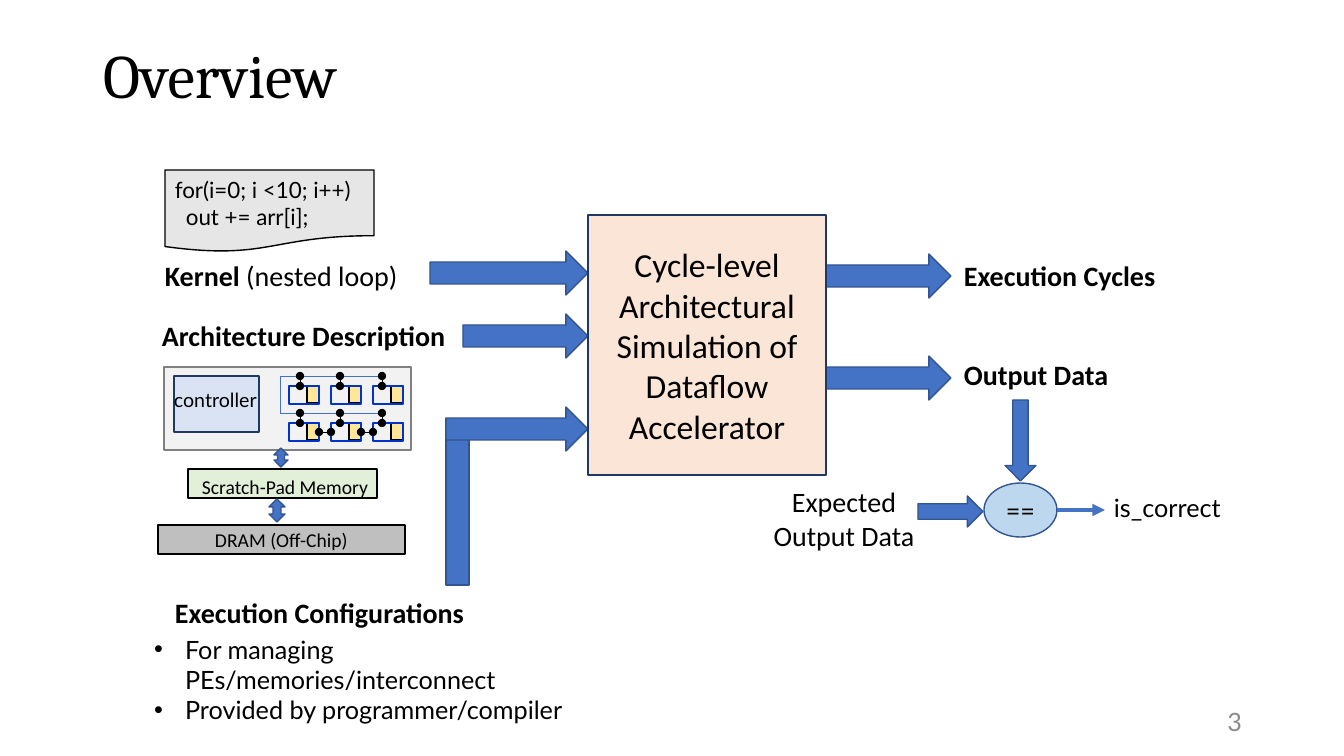
from lxml import etree
from pptx import Presentation
from pptx import util as u
from pptx.dml.color import RGBColor
from pptx.enum import shapes, text
from pptx.oxml import ns

PIXEL = 914400 / 100.8
COLORS = {
    "ink": "000000", "number": "8C8C8C", "arrow": "4472C4", "arrow_edge": "325491",
    "code": "E7E6E6", "chip": "F2F2F2", "chip_edge": "808080", "scratch": "E2F0D9",
    "dram": "BFBFBF", "cell_edge": "0033CC", "register": "FFE699",
    "controller": "DAE3F3", "navy": "203864", "simulator": "FBE5D6", "check": "BDD7EE",
}
KIND = shapes.MSO_SHAPE
CENTER = text.PP_ALIGN.CENTER
HEADING = {"size": u.Pt(20), "bold": True}
PLAIN = {"size": u.Pt(20), "bold": False}
SMALL = {"size": u.Pt(14)}
LATO = {"name": "Lato", "size": u.Pt(18)}


def px(value):
    """Turn pixels into EMU."""
    return u.Emu(round(value * PIXEL))


def inside(box, x, y, width, height):
    """Return a pixel box offset from the corner of a region."""
    return box[0] + x, box[1] + y, width, height


def place(item, box):
    """Move and size an object by its pixel box."""
    for name, value in zip(("left", "top", "width", "height"), box):
        setattr(item, name, px(value))


def write(frame, paragraphs, color="ink", anchor=text.MSO_ANCHOR.TOP, **layout):
    """Fill a text frame; each paragraph is a list of (text, format) spans."""
    frame.word_wrap = True
    frame.auto_size = text.MSO_AUTO_SIZE.NONE
    frame.vertical_anchor = anchor
    for index, spans in enumerate(paragraphs):
        para = frame.add_paragraph() if index else frame.paragraphs[0]
        for name, value in layout.items():
            setattr(para, name, value)
        for words, style in spans:
            for part, line in enumerate(words.split("\n")):
                if part:
                    para.add_line_break()
                span = para.add_run()
                span.text = line
                for name, value in {"name": "Calibri", **style}.items():
                    setattr(span.font, name, value)
                span.font.color.rgb = RGBColor.from_string(COLORS[color])


def label(page, box, words, style, **layout):
    """Add a one-paragraph text box."""
    frame = page.shapes.add_textbox(*map(px, box)).text_frame
    write(frame, [[(words, style)]], **layout)


def shape(page, kind, box, fill, edge="ink", weight=1):
    """Add a preset shape; a fill of None leaves it open."""
    item = page.shapes.add_shape(kind, *map(px, box))
    item.shadow.inherit = False
    if fill:
        item.fill.solid()
        item.fill.fore_color.rgb = RGBColor.from_string(COLORS[fill])
    else:
        item.fill.background()
    item.line.color.rgb = RGBColor.from_string(COLORS[edge])
    item.line.width = u.Pt(weight)
    return item


def arrow(page, box, kind=KIND.RIGHT_ARROW):
    """Add a blue block arrow."""
    return shape(page, kind, box, "arrow", "arrow_edge")


def wire(page, box, start, end, color="ink", weight=0.5, head=None, tail=None):
    """Draw a straight line between two points of a region."""
    points = [box[axis] + point[axis] for point in (start, end) for axis in (0, 1)]
    line = page.shapes.add_connector(shapes.MSO_CONNECTOR.STRAIGHT, *map(px, points))
    line.line.color.rgb = RGBColor.from_string(COLORS[color])
    line.line.width = u.Pt(weight)
    for name, kind in (("a:headEnd", head), ("a:tailEnd", tail)):
        if kind:
            etree.SubElement(line.line._get_or_add_ln(), ns.qn(name), type=kind)
    etree.SubElement(line._element.spPr, ns.qn("a:effectLst"))


def indent(para, left, hanging=0):
    """Set the left margin and the hanging indent of a paragraph."""
    props = para._p.get_or_add_pPr()
    props.set("marL", str(px(left)))
    props.set("indent", str(-px(hanging)))


def title(page, box):
    """Place the slide title."""
    place(page.shapes.title, box)
    write(page.shapes.title.text_frame, [[("Overview", {"name": "Cambria", "size": u.Pt(44)})]],
          alignment=text.PP_ALIGN.LEFT, line_spacing=0.9)


def kernel(page, box):
    """Draw the code sheet with its caption."""
    sheet = shape(page, KIND.FLOWCHART_DOCUMENT, inside(box, 10, 0, 209, 82), "code")
    style = {**LATO, "size": u.Pt(16)}
    write(sheet.text_frame, [[("for(i=0; i <10; i++)", style)], [("out += arr[i];", style)]],
          anchor=text.MSO_ANCHOR.MIDDLE, alignment=text.PP_ALIGN.LEFT)
    indent(sheet.text_frame.paragraphs[1], 11)
    caption = page.shapes.add_textbox(*map(px, inside(box, 0, 84, 265, 44)))
    write(caption.text_frame, [[("Kernel", HEADING), (" (nested loop)", PLAIN)]])


def processing_grid(page, box):
    """Draw two rows of processing elements with buses and links."""
    columns, rows = (9, 51, 93), (10, 47)
    taps = (20, 60, 102)
    for top in rows:
        for left in columns:
            shape(page, KIND.RECTANGLE, inside(box, left + 18, top, 12, 17), "register")
            shape(page, KIND.RECTANGLE, inside(box, left, top, 30, 18), None, "cell_edge")
        wire(page, box, (0, top - 10), (taps[-1], top - 10), "arrow")
        for tap in taps:
            wire(page, box, (tap, top), (tap, top - 10), head="oval", tail="oval")
    wire(page, box, (0, 0), (0, 37), "arrow")
    for left in columns[:-1]:
        wire(page, box, (left + 30, 56), (left + 42, 56), head="oval", tail="oval")


def architecture(page, box):
    """Draw the accelerator chip above its two memories."""
    label(page, inside(box, 0, 0, 363, 44), "Architecture Description", HEADING)
    shape(page, KIND.RECTANGLE, inside(box, 12, 53, 247, 83), "chip", "chip_edge", 1.5)
    shape(page, KIND.RECTANGLE, inside(box, 36, 155, 189, 29), "scratch")
    arrow(page, inside(box, 122, 134, 14, 19), KIND.UP_DOWN_ARROW)
    arrow(page, inside(box, 117, 185, 16, 23), KIND.UP_DOWN_ARROW)
    dram = shape(page, KIND.RECTANGLE, inside(box, 6, 211, 247, 29), "dram")
    write(dram.text_frame, [[("DRAM (Off-Chip)", SMALL)]],
          anchor=text.MSO_ANCHOR.MIDDLE, alignment=CENTER)
    processing_grid(page, inside(box, 128, 62, 124, 65))
    shape(page, KIND.RECTANGLE, inside(box, 22, 62, 85, 56), "controller", "navy")
    label(page, inside(box, 12, 69, 115, 34), "controller", {**LATO, **SMALL})
    label(page, inside(box, 40, 156, 200, 34), "Scratch-Pad Memory", SMALL)


def configurations(page, box):
    """Place the configuration heading and its bullet list."""
    label(page, inside(box, 21, 0, 363, 44), "Execution Configurations", HEADING)
    body = page.placeholders[1]
    place(body, inside(box, 0, 38, 501, 110))
    items = ("For managing\nPEs/memories/interconnect", "Provided by programmer/compiler")
    write(body.text_frame, [[(item, LATO)] for item in items], space_before=u.Pt(0))
    for para in body.text_frame.paragraphs:
        indent(para, 31, 31)


def simulator(page, box):
    """Draw the simulator with the arrows entering and leaving it."""
    shape(page, KIND.RECTANGLE, inside(box, -142, 204, 23, 166), "arrow", "arrow_edge")
    for top, length in ((36, 158), (99, 125), (192, 142)):
        arrow(page, inside(box, -length, top, length, 44))
    for top in (39, 141):
        arrow(page, inside(box, box[2], top, 125, 44))
    block = shape(page, KIND.RECTANGLE, box, "simulator", "navy")
    style = {"size": u.Pt(24)}
    write(block.text_frame, [[("Cycle-level Architectural Simulation of", style)],
                             [("Dataflow Accelerator", style)]],
          anchor=text.MSO_ANCHOR.MIDDLE, alignment=CENTER)


def outputs(page, box):
    """Draw the results and the check against expected data."""
    label(page, inside(box, 193, 0, 230, 44), "Execution Cycles", HEADING)
    label(page, inside(box, 193, 99, 230, 44), "Output Data", HEADING)
    label(page, inside(box, 0, 226, 166, 78), "Expected\nOutput Data", PLAIN, alignment=CENTER)
    check = shape(page, KIND.OVAL, inside(box, 223, 229, 73, 54), "check", "arrow_edge")
    write(check.text_frame, [[("==", LATO)]], anchor=text.MSO_ANCHOR.MIDDLE, alignment=CENTER)
    arrow(page, inside(box, 244, 146, 31, 81), KIND.DOWN_ARROW)
    arrow(page, inside(box, 157, 242, 65, 31))
    wire(page, box, (296, 256), (344, 256), "arrow", 3, tail="triangle")
    label(page, inside(box, 343, 233, 140, 40), "is_correct", LATO)


def main():
    """Build the slide and save it."""
    deck = Presentation()
    deck.slide_width, deck.slide_height = px(1344), px(756)
    page = deck.slides.add_slide(deck.slide_layouts[1])
    title(page, (93, 40, 1159, 146))
    kernel(page, (155, 170, 265, 128))
    architecture(page, (152, 314, 363, 240))
    configurations(page, (144, 591, 501, 148))
    simulator(page, (588, 215, 238, 260))
    outputs(page, (761, 254, 483, 304))
    label(page, (950, 701, 302, 40), "3", LATO, color="number",
          anchor=text.MSO_ANCHOR.MIDDLE, alignment=text.PP_ALIGN.RIGHT)
    deck.save("out.pptx")


main()
